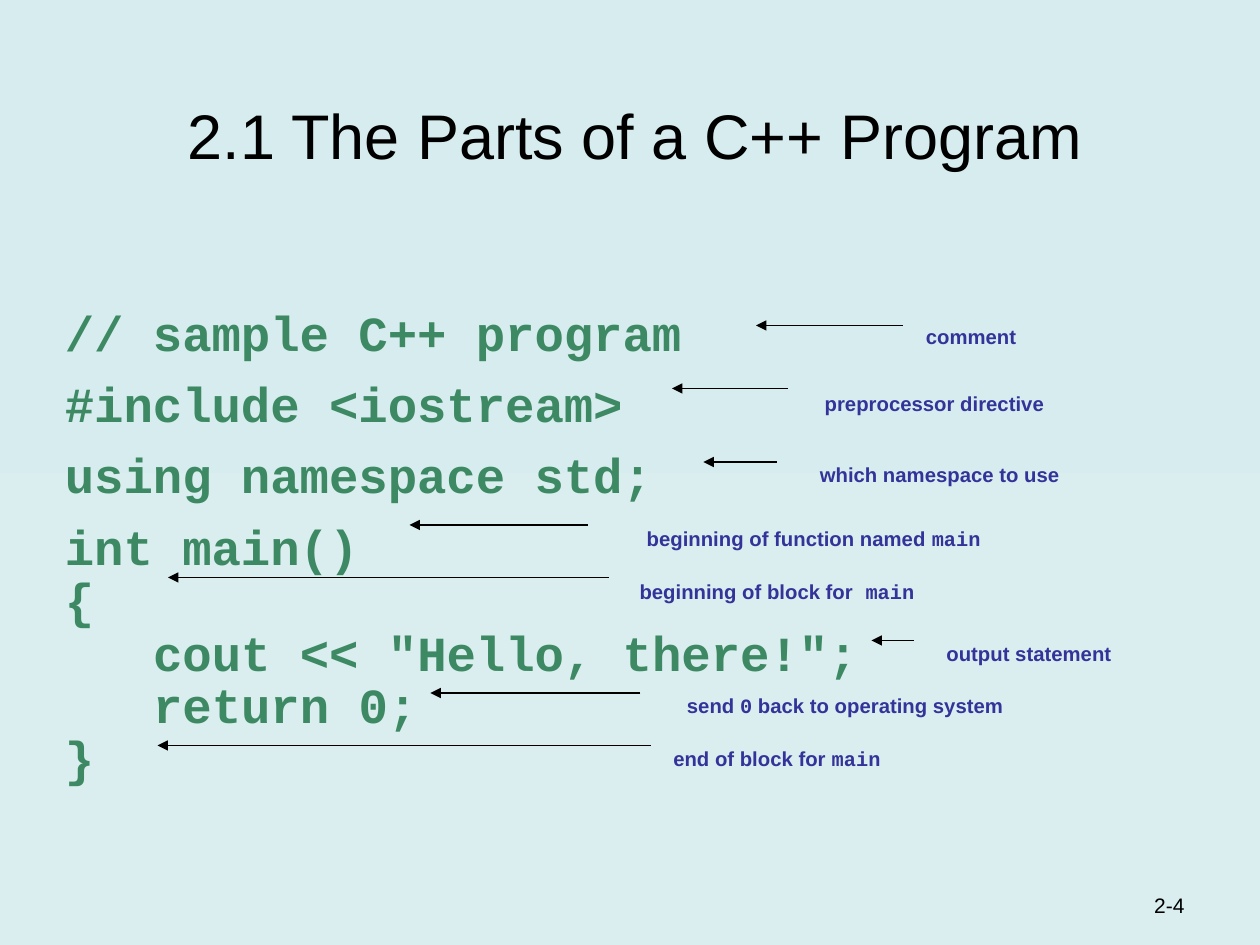
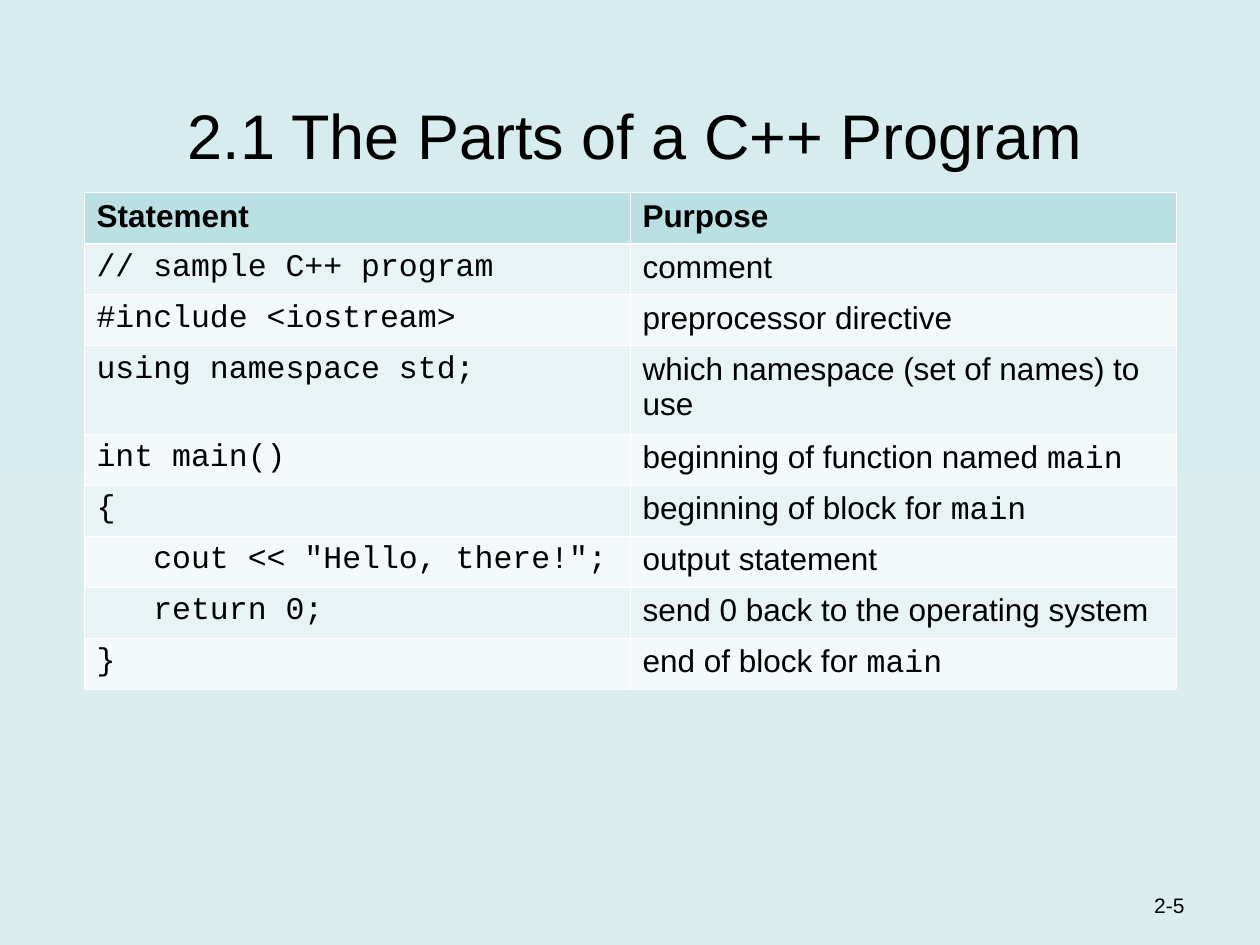
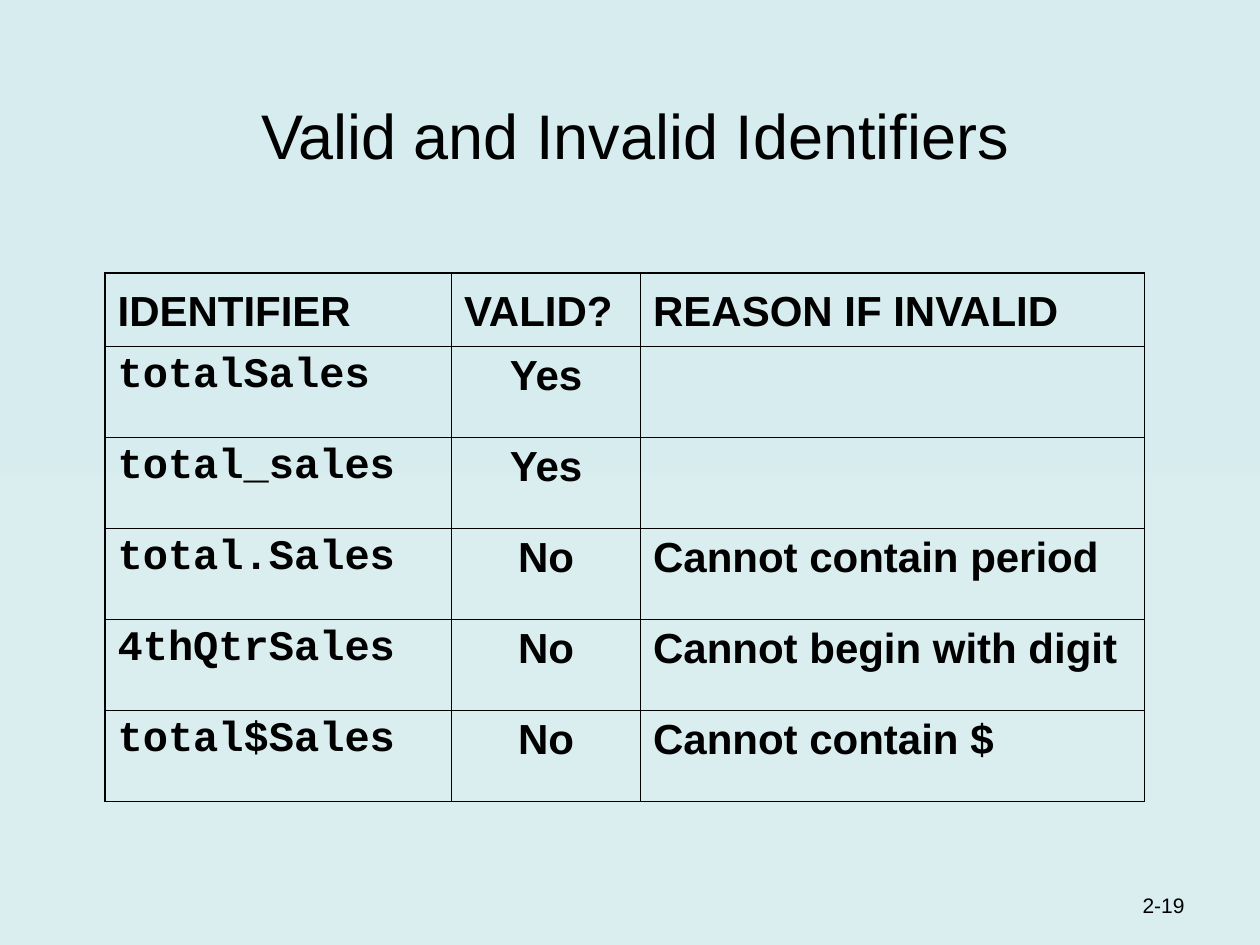
"""Build three slides about the parts of a C++ program and its identifiers."""

from dataclasses import dataclass
from typing import NamedTuple, Optional, Sequence

import lxml.etree
import pptx
import pptx.dml.color
import pptx.enum.shapes
import pptx.enum.text
import pptx.oxml.ns
import pptx.util

ALIGN = pptx.enum.text.PP_ALIGN
ANCHOR = pptx.enum.text.MSO_ANCHOR
AUTO_SIZE = pptx.enum.text.MSO_AUTO_SIZE

SLIDE_WIDTH = pptx.util.Inches(10)
SLIDE_HEIGHT = pptx.util.Inches(7.5)
GRID_COLUMNS = 120
GRID_ROWS = 90
MONOSPACE_ADVANCE = 0.6


@dataclass(frozen=True)
class Theme:
    """Colours, fonts and type sizes shared by the slides."""

    background: tuple[str, str] = ("DAEDEF", "D6ECEE")
    text: str = "000000"
    code: str = "3D8963"
    note: str = "333399"
    white: str = "FFFFFF"
    header_fill: str = "BBE0E3"
    band_fills: tuple[str, str] = ("E7F3F4", "F3F9FA")
    body_font: str = "Arial"
    code_font: str = "Courier New"
    title_size: float = 36
    code_size: float = 28
    identifier_size: float = 24
    note_size: float = 20
    statement_size: float = 18
    footer_size: float = 12
    arrow_width: float = 0.75


THEME = Theme()


class Area(NamedTuple):
    """A rectangle in grid columns and rows."""

    left: float
    top: float
    width: float
    height: float


class CodeLine(NamedTuple):
    """A program line, its indent in characters, its gap before and its purpose."""

    text: str
    indent: int
    gap: float
    purpose: str


class Note(NamedTuple):
    """A label beside the program; backticks mark code."""

    text: str
    area: Area
    line_spacing: float
    align: ALIGN = ALIGN.CENTER


class Arrow(NamedTuple):
    """A horizontal arrow from its start column to its tip column."""

    start: float
    tip: float
    row: float


class Cell(NamedTuple):
    """Table cell text with its indent in characters."""

    text: str
    indent: int = 0


@dataclass(frozen=True)
class TableStyle:
    """Type size, spacing, rules and fills of one table."""

    size: float
    rule_color: str
    frame_width: float
    header_rule_width: float
    inner_width: float
    header_fill: Optional[str] = None
    band_fills: tuple[Optional[str], ...] = (None,)
    header_spacing: Optional[float] = None
    space_before: float = 0
    body_bold: bool = False
    centred_columns: tuple[int, ...] = ()


TITLE_AREA = Area(4, 4, 113, 13)
FOOTER_AREA = Area(89, 82, 25, 6)
CODE_AREA = Area(5, 20, 110, 60)
CODE_TOP_INSET = 0.78
CODE_LINE_PITCH = 30.25

PROGRAM = (
    CodeLine("// sample C++ program", 0, 0, "comment"),
    CodeLine("#include <iostream>", 0, 10.5, "preprocessor directive"),
    CodeLine("using namespace std;", 0, 10.5, "which namespace (set of names) to use"),
    CodeLine("int main()", 0, 10.5, "beginning of function named `main`"),
    CodeLine("{", 0, 0, "beginning of block for `main`"),
    CodeLine('cout << "Hello, there!";', 3, 0, "output statement"),
    CodeLine("return 0;", 3, 0, "send 0 back to the operating system"),
    CodeLine("}", 0, 0, "end of block for `main`"),
)

NOTES = (
    Note("comment", Area(87, 28, 24, 5.75), 1, ALIGN.LEFT),
    Note("preprocessor directive", Area(67, 35.2, 44, 4.4), 0.7),
    Note("which namespace to use", Area(67, 42, 45, 4.4), 0.7),
    Note("beginning of function named `main`", Area(48, 47.75, 59, 4.9), 0.8),
    Note("beginning of block for` main`", Area(49, 52.75, 50, 4.9), 0.8),
    Note("output statement", Area(82, 59, 32, 4.4), 0.7),
    Note("send `0` back to operating system", Area(52.5, 64, 56, 4.4), 0.7),
    Note("end of block for `main`", Area(53.5, 69, 41, 4.4), 0.7),
)

ARROWS = (
    Arrow(86, 72, 31),
    Arrow(75, 64, 37),
    Arrow(74, 67, 44),
    Arrow(56, 39, 50),
    Arrow(58, 16, 55),
    Arrow(87, 83, 61),
    Arrow(61, 41, 66),
    Arrow(62, 15, 71),
)

IDENTIFIERS = (
    ("totalSales", "Yes", ""),
    ("total_sales", "Yes", ""),
    ("total.Sales", "No", "Cannot contain period"),
    ("4thQtrSales", "No", "Cannot begin with digit"),
    ("total$Sales", "No", "Cannot contain $"),
)

STATEMENT_STYLE = TableStyle(
    size=THEME.statement_size,
    rule_color=THEME.white,
    frame_width=0.45,
    header_rule_width=1.47,
    inner_width=0.45,
    header_fill=THEME.header_fill,
    band_fills=THEME.band_fills,
)

IDENTIFIER_STYLE = TableStyle(
    size=THEME.identifier_size,
    rule_color=THEME.text,
    frame_width=1.08,
    header_rule_width=0.45,
    inner_width=0.45,
    header_spacing=1.2,
    space_before=6,
    body_bold=True,
    centred_columns=(1,),
)


def across(columns: float) -> int:
    """Turn grid columns into a length."""
    return round(SLIDE_WIDTH * columns / GRID_COLUMNS)


def down(rows: float) -> int:
    """Turn grid rows into a length."""
    return round(SLIDE_HEIGHT * rows / GRID_ROWS)


def place(area: Area) -> tuple[int, int, int, int]:
    """Turn a grid area into left, top, width and height."""
    return across(area.left), down(area.top), across(area.width), down(area.height)


def rgb(color: str) -> pptx.dml.color.RGBColor:
    """Read a hexadecimal colour."""
    return pptx.dml.color.RGBColor.from_string(color)


def write(
    paragraph,
    text: str,
    *,
    size: float,
    color: str = THEME.text,
    bold: bool = False,
    align: ALIGN = ALIGN.LEFT,
    line_spacing=None,
    space_before: float = 0,
    indent: int = 0,
    baseline: Optional[int] = None,
) -> None:
    """Write formatted text in which backticks switch to the code font."""
    paragraph.alignment = align
    paragraph.space_before = pptx.util.Pt(space_before)
    if line_spacing is not None:
        paragraph.line_spacing = line_spacing
    if indent:
        margin = pptx.util.Pt(indent * size * MONOSPACE_ADVANCE)
        paragraph._p.get_or_add_pPr().set("marL", str(margin))
    for position, part in enumerate(text.split("`")):
        if not part:
            continue
        run = paragraph.add_run()
        run.text = part
        run.font.name = THEME.code_font if position % 2 else THEME.body_font
        run.font.size = pptx.util.Pt(size)
        run.font.bold = bold
        run.font.color.rgb = rgb(color)
        if baseline is not None:
            run.font._element.set("baseline", str(baseline * 1000))


def add_text_frame(slide, area: Area, *, anchor: ANCHOR = ANCHOR.TOP):
    """Add a wrapping text box and return its text frame."""
    frame = slide.shapes.add_textbox(*place(area)).text_frame
    frame.word_wrap = True
    frame.vertical_anchor = anchor
    return frame


def add_titled_slide(presentation, title: str, number: str):
    """Add a slide with the shared title and page number."""
    slide = presentation.slides.add_slide(presentation.slide_layouts[5])
    shape = slide.shapes.title
    shape.left, shape.top, shape.width, shape.height = place(TITLE_AREA)
    frame = shape.text_frame
    frame.auto_size = AUTO_SIZE.NONE
    frame.vertical_anchor = ANCHOR.BOTTOM
    write(frame.paragraphs[0], title, size=THEME.title_size, align=ALIGN.CENTER)
    footer = add_text_frame(slide, FOOTER_AREA, anchor=ANCHOR.BOTTOM)
    write(footer.paragraphs[0], number, size=THEME.footer_size, align=ALIGN.RIGHT)
    return slide


def add_program(slide) -> None:
    """Add the program listing."""
    frame = add_text_frame(slide, CODE_AREA)
    frame.margin_top = pptx.util.Inches(CODE_TOP_INSET)
    frame.margin_right = 0
    for index, line in enumerate(PROGRAM):
        paragraph = frame.add_paragraph() if index else frame.paragraphs[0]
        write(
            paragraph,
            f"`{line.text}`",
            size=THEME.code_size,
            color=THEME.code,
            bold=True,
            line_spacing=pptx.util.Pt(CODE_LINE_PITCH),
            space_before=line.gap,
            indent=line.indent,
        )


def add_note(slide, note: Note) -> None:
    """Add one lowered label beside the program."""
    frame = add_text_frame(slide, note.area)
    frame.auto_size = AUTO_SIZE.SHAPE_TO_FIT_TEXT
    write(
        frame.paragraphs[0],
        note.text,
        size=THEME.note_size,
        color=THEME.note,
        bold=True,
        align=note.align,
        line_spacing=note.line_spacing,
        baseline=-25,
    )


def add_arrow(slide, arrow: Arrow) -> None:
    """Add an arrow that points at a program line."""
    row = down(arrow.row)
    connector = slide.shapes.add_connector(
        pptx.enum.shapes.MSO_CONNECTOR.STRAIGHT,
        across(arrow.start), row, across(arrow.tip), row,
    )
    connector.line.color.rgb = rgb(THEME.text)
    connector.line.width = pptx.util.Pt(THEME.arrow_width)
    qualify = pptx.oxml.ns.qn
    line = connector.line._get_or_add_ln()
    lxml.etree.SubElement(line, qualify("a:tailEnd"), type="triangle")
    lxml.etree.SubElement(connector._element.spPr, qualify("a:effectLst"))


def add_border(cell, side: str, color: str, width: float) -> None:
    """Add a solid border to one side of a cell."""
    qualify = pptx.oxml.ns.qn
    properties = cell._tc.get_or_add_tcPr()
    line = lxml.etree.SubElement(
        properties, qualify(f"a:ln{side}"), w=str(pptx.util.Pt(width))
    )
    fill = lxml.etree.SubElement(line, qualify("a:solidFill"))
    lxml.etree.SubElement(fill, qualify("a:srgbClr"), val=color)


def add_table(
    slide,
    left: float,
    top: float,
    columns: Sequence[float],
    rows: Sequence[float],
    cells: Sequence[Sequence[Cell]],
    style: TableStyle,
) -> None:
    """Add a table whose first row is its header."""
    area = Area(left, top, sum(columns), sum(rows))
    table = slide.shapes.add_table(len(rows), len(columns), *place(area)).table
    table.first_row = table.horz_banding = False
    for column, width in zip(table.columns, columns):
        column.width = across(width)
    for row, height in zip(table.rows, rows):
        row.height = down(height)
    row_rules = [style.frame_width, style.header_rule_width]
    row_rules += [style.inner_width] * (len(rows) - 2) + [style.frame_width]
    column_rules = [style.inner_width] * (len(columns) - 1)
    column_rules = [style.frame_width, *column_rules, style.frame_width]
    for y, entries in enumerate(cells):
        header = y == 0
        fill = style.band_fills[(y - 1) % len(style.band_fills)]
        fill = style.header_fill if header else fill
        for x, entry in enumerate(entries):
            cell = table.cell(y, x)
            add_border(cell, "L", style.rule_color, column_rules[x])
            add_border(cell, "R", style.rule_color, column_rules[x + 1])
            add_border(cell, "T", style.rule_color, row_rules[y])
            add_border(cell, "B", style.rule_color, row_rules[y + 1])
            if fill:
                cell.fill.solid()
                cell.fill.fore_color.rgb = rgb(fill)
            else:
                cell.fill.background()
            centred = not header and x in style.centred_columns
            write(
                cell.text_frame.paragraphs[0],
                entry.text,
                size=style.size,
                bold=header or style.body_bold,
                align=ALIGN.CENTER if centred else ALIGN.LEFT,
                line_spacing=style.header_spacing if header else None,
                space_before=style.space_before,
                indent=entry.indent,
            )


def paint_background(presentation) -> None:
    """Give every slide the same pale gradient."""
    fill = presentation.slide_master.background.fill
    fill.gradient()
    fill.gradient_angle = 90
    for stop, color in zip(fill.gradient_stops, THEME.background):
        stop.color.rgb = rgb(color)


def main() -> None:
    """Build and save the presentation."""
    presentation = pptx.Presentation()
    presentation.slide_width = SLIDE_WIDTH
    presentation.slide_height = SLIDE_HEIGHT
    paint_background(presentation)

    parts_title = "2.1 The Parts of a C++ Program"
    slide = add_titled_slide(presentation, parts_title, "2-4")
    add_program(slide)
    for note in NOTES:
        add_note(slide, note)
    for arrow in ARROWS:
        add_arrow(slide, arrow)

    slide = add_titled_slide(presentation, parts_title, "2-5")
    statements = [(Cell("Statement"), Cell("Purpose"))]
    statements += [(Cell(f"`{line.text}`", line.indent), Cell(line.purpose)) for line in PROGRAM]
    heights = [4.86] * 3 + [8.4] + [4.86] * 5
    add_table(slide, 8, 18.35, [52, 52], heights, statements, STATEMENT_STYLE)

    slide = add_titled_slide(presentation, "Valid and Invalid Identifiers", "2-19")
    identifiers = [(Cell("IDENTIFIER"), Cell("VALID?"), Cell("REASON IF INVALID"))]
    identifiers += [
        (Cell(f"`{name}`"), Cell(valid), Cell(reason)) for name, valid, reason in IDENTIFIERS
    ]
    heights = [7] + [8.67] * len(IDENTIFIERS)
    add_table(slide, 10, 26, [33, 18, 48], heights, identifiers, IDENTIFIER_STYLE)

    presentation.save("out.pptx")


if __name__ == "__main__":
    main()
